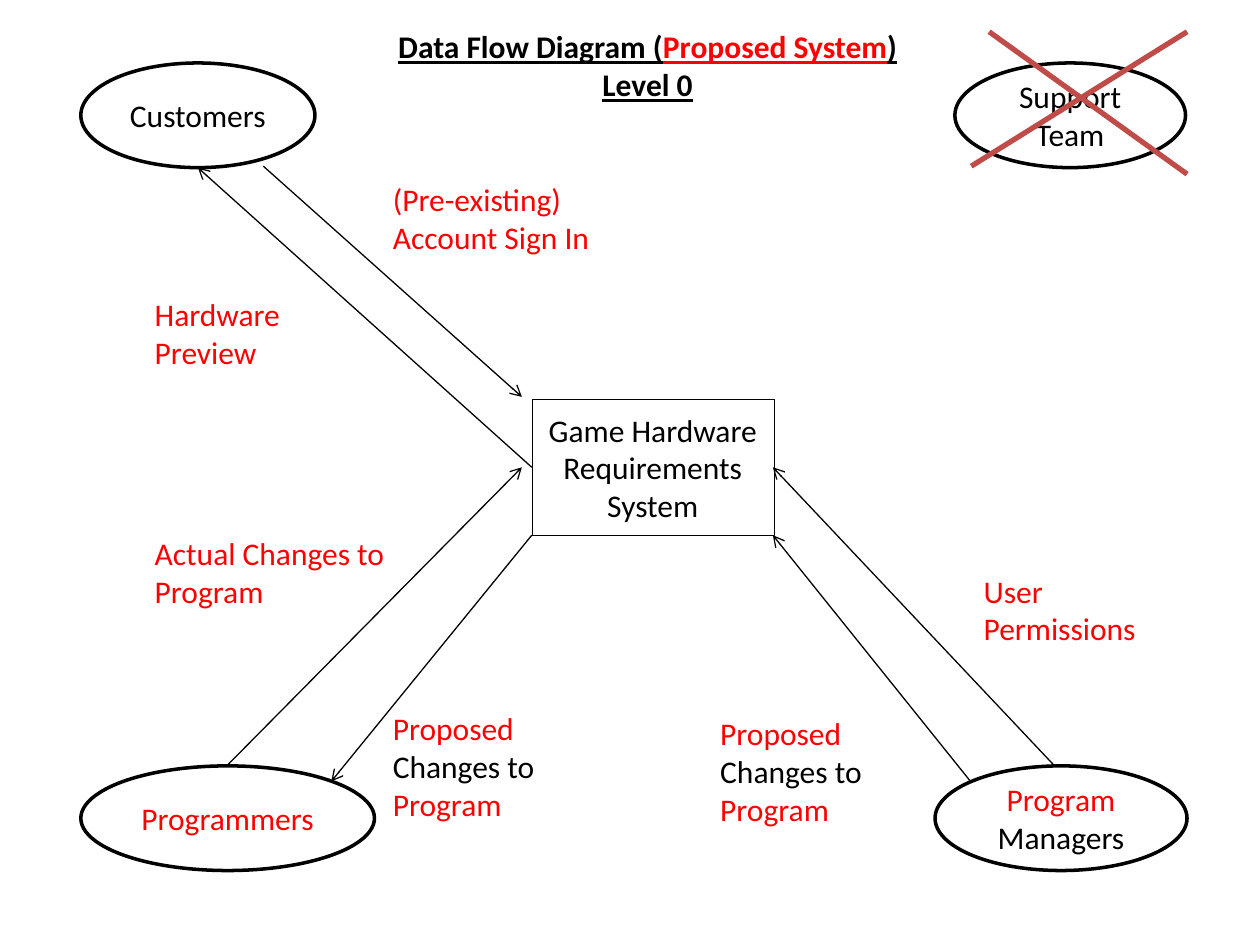
from dataclasses import dataclass

from lxml.etree import SubElement
from pptx import Presentation
from pptx.dml.color import RGBColor
from pptx.enum.shapes import MSO_CONNECTOR, MSO_SHAPE
from pptx.enum.text import MSO_ANCHOR, MSO_AUTO_SIZE, PP_ALIGN
from pptx.oxml.ns import qn
from pptx.util import Cm, Pt


@dataclass(frozen=True)
class Theme:
    font: str = "Calibri"
    size: Pt = Pt(18)
    black: RGBColor = RGBColor(0, 0, 0)
    red: RGBColor = RGBColor(255, 0, 0)
    cross: RGBColor = RGBColor(0xBF, 0x4C, 0x48)
    white: RGBColor = RGBColor(255, 255, 255)


THEME = Theme()
BLACK, RED = THEME.black, THEME.red


def write_text(frame, paragraphs, align, heading=False):
    """Each paragraph is a list of (text, colour) spans."""
    frame.word_wrap = True
    for index, spans in enumerate(paragraphs):
        para = frame.add_paragraph() if index else frame.paragraphs[0]
        para.alignment = align
        para.font.name = THEME.font
        para.font.size = THEME.size
        for text, colour in spans:
            span = para.add_run()
            span.text = text
            span.font.color.rgb = colour
            if heading:
                span.font.bold = True
                span.font.underline = True


def add_node(page, kind, left, top, width, height, line_width, paragraphs):
    node = page.shapes.add_shape(kind, Cm(left), Cm(top), Cm(width), Cm(height))
    node.shadow.inherit = False
    node.fill.solid()
    node.fill.fore_color.rgb = THEME.white
    node.line.color.rgb = BLACK
    node.line.width = Pt(line_width)
    node.text_frame.vertical_anchor = MSO_ANCHOR.MIDDLE
    write_text(node.text_frame, paragraphs, PP_ALIGN.CENTER)


def add_label(page, left, top, paragraphs, width=5.18, height=1.8,
              align=PP_ALIGN.LEFT, heading=False):
    box = page.shapes.add_textbox(Cm(left), Cm(top), Cm(width), Cm(height))
    write_text(box.text_frame, paragraphs, align, heading)
    box.text_frame.auto_size = MSO_AUTO_SIZE.SHAPE_TO_FIT_TEXT


def add_line(page, start, end, colour, width, arrow=False):
    line = page.shapes.add_connector(
        MSO_CONNECTOR.STRAIGHT, *(Cm(value) for value in start + end))
    line.line.color.rgb = colour
    line.line.width = Pt(width)
    if arrow:
        SubElement(line.line._get_or_add_ln(), qn("a:tailEnd"), type="arrow")
    SubElement(line._element.spPr, qn("a:effectLst"))


def main():
    deck = Presentation()
    deck.slide_width, deck.slide_height = Cm(25.4), Cm(19.05)
    page = deck.slides.add_slide(deck.slide_layouts[6])

    # Central system
    add_node(page, MSO_SHAPE.RECTANGLE, 10.72, 8.05, 4.88, 2.74, 0.25,
             [[("Game Hardware Requirements System", BLACK)]])

    # External entities
    upper, lower = 1.27, 15.44
    for left, top, width, paragraphs in (
        (1.63, upper, 4.72, [[("Customers", BLACK)]]),
        (19.25, upper, 4.65, [[("Support", BLACK)], [("Team", BLACK)]]),
        (1.63, lower, 5.92, [[("Programmers", RED)]]),
        (18.85, lower, 5.08, [[("Program ", RED), ("Managers", BLACK)]]),
    ):
        add_node(page, MSO_SHAPE.OVAL, left, top, width, 2.11, 2, paragraphs)

    # Data flows
    for start, end in (
        ((5.31, 3.35), (10.52, 8.0)),
        ((10.72, 9.42), (3.99, 3.38)),
        ((4.57, 15.44), (10.52, 9.42)),
        ((10.72, 10.79), (6.68, 15.75)),
        ((19.58, 15.77), (15.58, 10.79)),
        ((21.26, 15.44), (15.58, 9.42)),
    ):
        add_line(page, start, end, BLACK, 0.75, arrow=True)

    # Flow labels
    for left, top, paragraphs in (
        (2.87, 5.82, [[("Hardware", RED)], [("Preview", RED)]]),
        (2.87, 10.64, [[("Actual Changes to Program", RED)]]),
        (7.67, 3.51, [[("(Pre-existing) Account Sign In", RED)]]),
        (19.58, 11.4, [[("User ", RED)], [("Permissions", RED)]]),
    ):
        add_label(page, left, top, paragraphs)
    proposed = [[("Proposed ", RED), ("Changes to ", BLACK), ("Program", RED)]]
    for left, top in ((7.67, 14.17), (14.27, 14.27)):
        add_label(page, left, top, proposed, height=2.57)

    # Cross over the removed entity
    for start, end in (((19.94, 0.64), (23.93, 3.51)),
                       ((23.93, 0.64), (19.58, 3.35))):
        add_line(page, start, end, THEME.cross, 3)

    # Heading
    add_label(page, 7.67, 0.43,
              [[("Data Flow Diagram (", BLACK), ("Proposed System", RED),
                (") Level 0", BLACK)]],
              width=10.77, align=PP_ALIGN.CENTER, heading=True)

    deck.save("out.pptx")


main()
